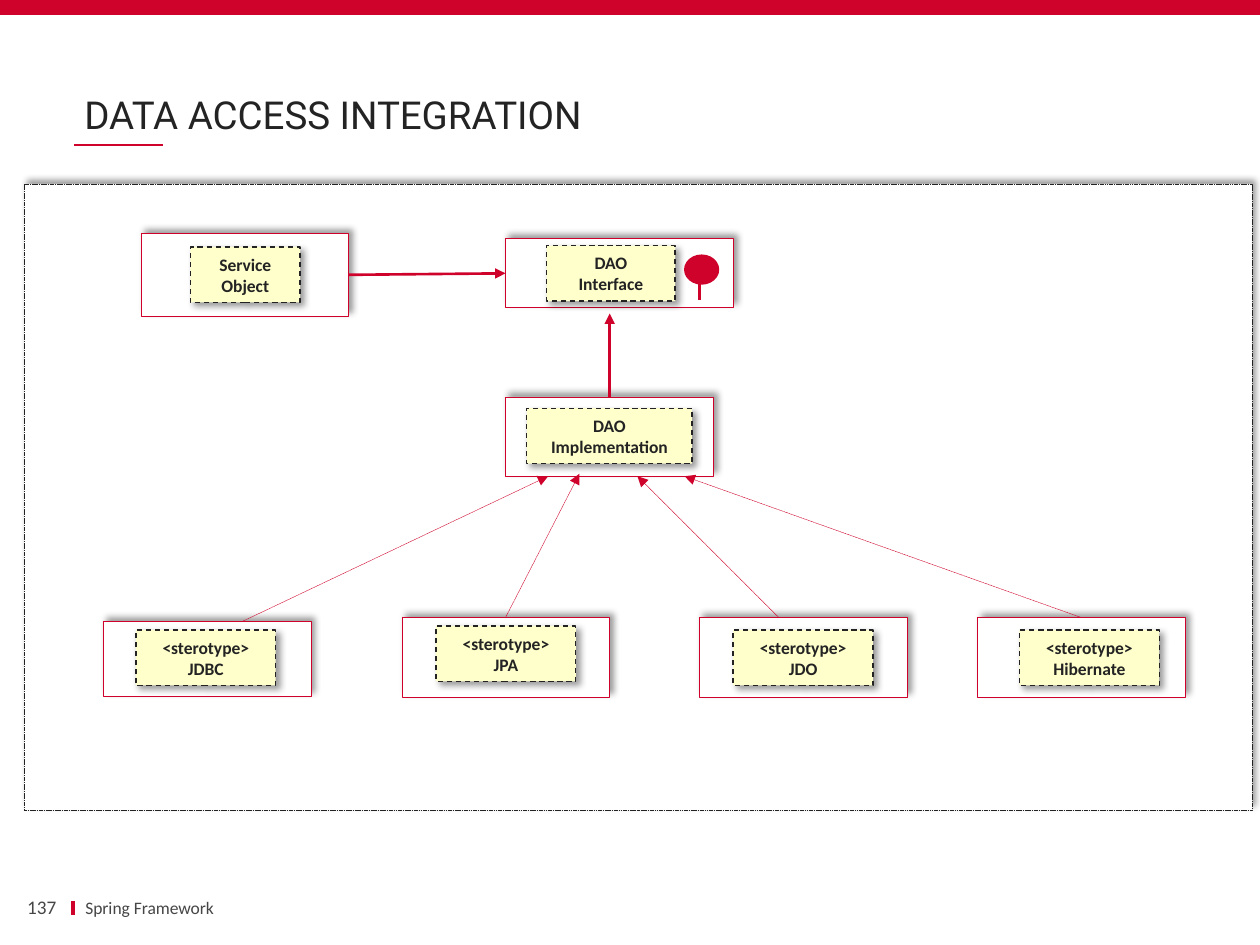
from lxml import etree
from pptx import Presentation
from pptx.dml.color import RGBColor
from pptx.enum.dml import MSO_LINE
from pptx.enum.shapes import MSO_CONNECTOR, MSO_SHAPE
from pptx.enum.text import MSO_ANCHOR, PP_ALIGN
from pptx.oxml.ns import qn
from pptx.util import Cm, Pt

LEFT, CENTER, RIGHT = PP_ALIGN.LEFT, PP_ALIGN.CENTER, PP_ALIGN.RIGHT
MIDDLE = MSO_ANCHOR.MIDDLE
RECTANGLE, OVAL = MSO_SHAPE.RECTANGLE, MSO_SHAPE.OVAL
STRAIGHT = MSO_CONNECTOR.STRAIGHT
DASH, DOT = MSO_LINE.DASH, MSO_LINE.SQUARE_DOT

COLORS = {
    "red": "CF022B",
    "ink": "232323",
    "grey": "464646",
    "white": "FFFFFF",
    "cream": "FFFFCC",
    "black": "000000",
}

TITLE = "DATA ACCESS INTEGRATION"
COURSE = "Spring Framework"
PAGE = "137"

LABEL_HEIGHT = 1.12
COMPONENTS = [
    (["Service Object"], (2.84, 4.7, 4.19, 1.68), (3.84, 4.98, 2.21)),
    (["DAO", "Interface"], (10.19, 4.8, 4.6, 1.4), (11.02, 4.95, 2.59)),
    (["DAO", "Implementation"], (10.19, 8, 4.19, 1.6), (10.62, 8.23, 3.33)),
    (["<sterotype>", "JDBC"], (2.08, 12.52, 4.19, 1.52), (2.74, 12.7, 2.82)),
    (["<sterotype>", "JPA"], (8.1, 12.45, 4.19, 1.6), (8.79, 12.62, 2.82)),
    (["<sterotype>", "JDO"], (14.1, 12.45, 4.19, 1.6), (14.78, 12.7, 2.82)),
    (["<sterotype>", "Hibernate"], (19.71, 12.45, 4.19, 1.6), (20.55, 12.7, 2.82)),
]

REALIZATIONS = [
    ((4.9, 12.52), (11.05, 9.6)),
    ((10.19, 12.45), (11.68, 9.55)),
    ((15.7, 12.45), (12.85, 9.6)),
    ((21.8, 12.45), (13.8, 9.6)),
]
DEPENDENCIES = [
    ((7.03, 5.54), (10.19, 5.51)),
    ((12.29, 8), (12.29, 6.32)),
]


def rgb(color):
    return RGBColor.from_string(COLORS[color])


def write(shape, paragraphs, size, font="Calibri", color="ink", bold=False,
          align=LEFT, margin=0.25, wrap=True):
    frame = shape.text_frame
    frame.word_wrap = wrap
    frame.vertical_anchor = MIDDLE
    frame.margin_left = frame.margin_right = Cm(margin)
    frame.margin_top = frame.margin_bottom = Cm(0.13)
    for index, text in enumerate(paragraphs):
        paragraph = frame.add_paragraph() if index else frame.paragraphs[0]
        paragraph.alignment = align
        run = paragraph.add_run()
        run.text = text
        run.font.size = Pt(size)
        run.font.name = font
        run.font.bold = bold
        run.font.color.rgb = rgb(color)


def cast_shadow(shape, degrees):
    effects = shape._element.spPr.find(qn("a:effectLst"))
    shadow = etree.SubElement(
        effects, qn("a:outerShdw"), blurRad=str(Pt(4)), dist=str(Pt(3)),
        dir=str(degrees * 60000), algn="tl", rotWithShape="0")
    tone = etree.SubElement(shadow, qn("a:srgbClr"), val=COLORS["black"])
    etree.SubElement(tone, qn("a:alpha"), val="40000")


def add_block(kind, area, fill, line=None, width=0.25, dash=None, shadow=None):
    block = slide.shapes.add_shape(kind, *map(Cm, area))
    block.shadow.inherit = False
    block.fill.solid()
    block.fill.fore_color.rgb = rgb(fill)
    if line:
        block.line.color.rgb = rgb(line)
        block.line.width = Pt(width)
        block.line.dash_style = dash
    else:
        block.line.fill.background()
    if shadow is not None:
        cast_shadow(block, shadow)
    return block


def add_line(start, end, width, dash=None, arrow=False):
    line = slide.shapes.add_connector(STRAIGHT, *map(Cm, start + end))
    line.line.color.rgb = rgb("red")
    line.line.width = Pt(width)
    line.line.dash_style = dash
    if arrow:
        etree.SubElement(line.line._get_or_add_ln(), qn("a:tailEnd"), type="triangle")
    etree.SubElement(line._element.spPr, qn("a:effectLst"))


def add_text(area, text, size, **style):
    write(slide.shapes.add_textbox(*map(Cm, area)), [text], size, **style)


deck = Presentation()
deck.slide_width, deck.slide_height = Cm(25.4), Cm(19.05)
slide = deck.slides.add_slide(deck.slide_layouts[5])

title = slide.shapes.title
title.left, title.top, title.width, title.height = map(Cm, (1.7, 1.93, 10.19, 0.76))
write(title, [TITLE], 22, font="Roboto", margin=0, wrap=False)

add_block(RECTANGLE, (0, 0, 25.4, 0.3), "red")
add_line((1.5, 2.92), (3.28, 2.92), 1)
add_line((1.47, 18.16), (1.47, 18.44), 2.25)
add_text((1.47, 18.06, 12.62, 0.46), COURSE, 10, color="grey")
add_text((0.33, 18.06, 0.81, 0.46), PAGE, 11, color="grey",
         align=RIGHT, margin=0, wrap=False)

add_block(RECTANGLE, (0.48, 3.71, 24.77, 12.62), "white", "ink", dash=DOT, shadow=315)
for _, box, _ in COMPONENTS:
    add_block(RECTANGLE, box, "white", "red", shadow=315)
for start, end in REALIZATIONS:
    add_line(start, end, 0.25, dash=DOT, arrow=True)
for start, end in DEPENDENCIES:
    add_line(start, end, 1.5, arrow=True)
for caption, _, label in COMPONENTS:
    tag = add_block(RECTANGLE, label + (LABEL_HEIGHT,), "cream", "ink",
                    width=0.75, dash=DASH, shadow=45)
    write(tag, caption, 10, bold=True, align=CENTER)

add_block(OVAL, (13.79, 5.13, 0.71, 0.61), "red")
add_line((14.1, 5.72), (14.1, 6.05), 1.5)

deck.save("out.pptx")
